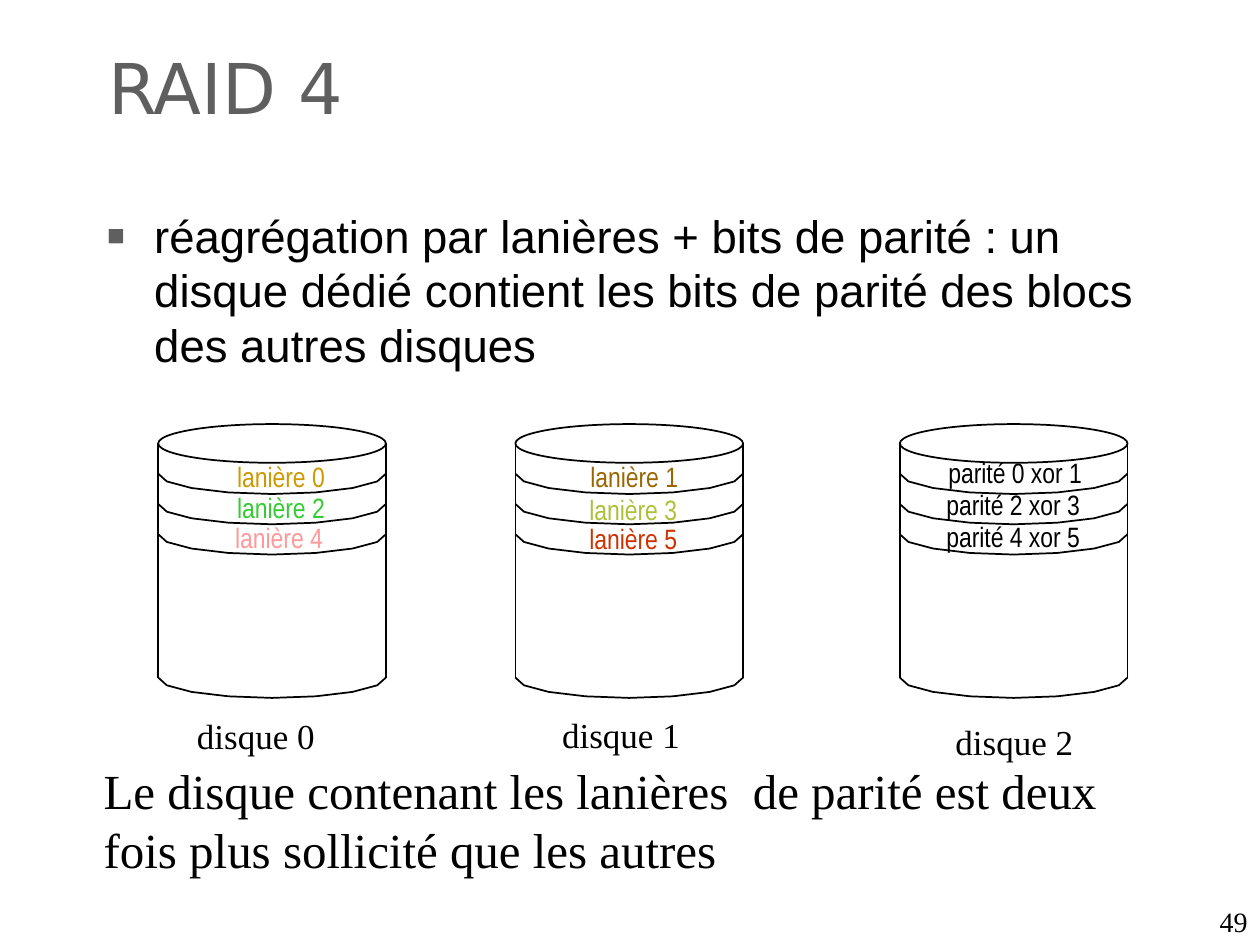
import math
from lxml import etree
from pptx import Presentation
from pptx import util as u
from pptx.dml.color import RGBColor
from pptx.enum import shapes, text
from pptx.oxml.ns import qn

BLACK, GREY = "000000", "5F5F5F"
SERIF, SANS, NARROW, HEADING = "Times New Roman", "Arial", "Arial Narrow", "DejaVu Sans"

# Disk geometry in cm
DISK_W, LID_H, LID_TOP = 4.59, 0.78, 8.55
RIM_Y, BASE_Y, ARC_DEPTH = LID_TOP + LID_H / 2, 13.66, 0.41
STRIPE_Y, STRIPE_STEP = 9.55, 0.61


def rgb(value):
    return RGBColor.from_string(value)


def write(frame, content, font=SERIF, size=16, color=BLACK,
          align=text.PP_ALIGN.LEFT, before=0):
    paragraph = frame.paragraphs[0]
    paragraph.alignment = align
    paragraph.space_before = u.Pt(before)
    run = paragraph.add_run()
    run.text = content
    run.font.name, run.font.size = font, u.Pt(size)
    run.font.color.rgb = rgb(color)
    return paragraph


class Sheet:
    def __init__(self, slide, line_color=BLACK, line_width=1):
        self.items = slide.shapes
        self.line_color, self.line_width = line_color, u.Pt(line_width)

    def outline(self, item):
        item.line.color.rgb = rgb(self.line_color)
        item.line.width = self.line_width

    def label(self, content, left, top, width, height, wrap=True,
              anchor=text.MSO_ANCHOR.TOP, **style):
        box = self.items.add_textbox(u.Cm(left), u.Cm(top), u.Cm(width), u.Cm(height))
        frame = box.text_frame
        frame.word_wrap, frame.vertical_anchor = wrap, anchor
        return write(frame, content, **style)

    def bullet(self, paragraph, indent, mark="■", color=GREY, percent=65):
        props = paragraph._p.get_or_add_pPr()
        props.set("marL", str(u.Cm(indent)))
        props.set("indent", str(-u.Cm(indent)))
        tint = etree.SubElement(props, qn("a:buClr"))
        etree.SubElement(tint, qn("a:srgbClr"), val=color)
        etree.SubElement(props, qn("a:buSzPct"), val=str(percent * 1000))
        etree.SubElement(props, qn("a:buFont"), typeface=SANS)
        etree.SubElement(props, qn("a:buChar"), char=mark)

    def ellipse(self, left, top, width, height):
        lid = self.items.add_shape(shapes.MSO_SHAPE.OVAL, u.Cm(left), u.Cm(top),
                                   u.Cm(width), u.Cm(height))
        lid.shadow.inherit = False
        lid.fill.background()
        self.outline(lid)

    def side(self, x, top, bottom):
        edge = self.items.add_connector(shapes.MSO_CONNECTOR.STRAIGHT, u.Cm(x),
                                        u.Cm(bottom), u.Cm(x), u.Cm(top))
        self.outline(edge)
        etree.SubElement(edge._element.spPr, qn("a:effectLst"))

    def arc(self, left, top, width, depth, steps=8):
        """Lower half of an ellipse, drawn from left to right."""
        angles = [math.pi * i / steps for i in range(steps + 1)]
        points = [(u.Cm(left + width * (1 - math.cos(a)) / 2),
                   u.Cm(top + depth * math.sin(a))) for a in angles]
        builder = self.items.build_freeform(*points[0])
        builder.add_line_segments(points[1:], close=False)
        curve = builder.convert_to_shape()
        curve.shadow.inherit = False
        curve.fill.background()
        self.outline(curve)

    def disk(self, left):
        self.ellipse(left, LID_TOP, DISK_W, LID_H)
        self.arc(left, BASE_Y, DISK_W, ARC_DEPTH)
        for x in (left, left + DISK_W):
            self.side(x, RIM_Y, BASE_Y)
        for i in reversed(range(3)):
            self.arc(left, STRIPE_Y + i * STRIPE_STEP, DISK_W, ARC_DEPTH)


# Name, disk left, caption position, stripes (text, left, top, colour)
DISKS = [
    ("disque 0", 3.19, (2.8, 14.27), [("lanière 0", 3.94, 9.22, "CC9900"),
                                      ("lanière 2", 3.94, 9.85, "33CC33"),
                                      ("lanière 4", 3.9, 10.45, "FF9999")]),
    ("disque 1", 10.39, (10.16, 14.25), [("lanière 1", 11.06, 9.22, "996600"),
                                         ("lanière 3", 11.04, 9.88, "AFBF39"),
                                         ("lanière 5", 11.04, 10.48, "CC3300")]),
    ("disque 2", 18.14, (18.09, 14.4), [("parité 0 xor 1", 18.74, 9.15, BLACK),
                                        ("parité 2 xor 3", 18.7, 9.79, BLACK),
                                        ("parité 4 xor 5", 18.7, 10.44, BLACK)]),
]


def main():
    deck = Presentation()
    deck.slide_width, deck.slide_height = u.Cm(25.4), u.Cm(19.05)
    sheet = Sheet(deck.slides.add_slide(deck.slide_layouts[6]))
    center = text.PP_ALIGN.CENTER

    # Title and definition
    sheet.label("RAID 4", 1.93, 0.77, 8.18, 2.18, font=HEADING, size=40, color=GREY)
    definition = sheet.label(
        "réagrégation par lanières + bits de parité : un disque dédié contient "
        "les bits de parité des blocs des autres disques",
        1.91, 4.06, 21.59, 4.34, font=SANS, size=26, before=6.5)
    sheet.bullet(definition, 0.95)

    # Disks with their stripes and captions
    for name, left, caption, stripes in DISKS:
        sheet.disk(left)
        for stripe, x, y, color in stripes:
            sheet.label(stripe, x, y, 3.45, 0.76, wrap=False, font=NARROW,
                        anchor=text.MSO_ANCHOR.MIDDLE, color=color, align=center)
        sheet.label(name, *caption, 4.72, 1.12, size=20, align=center, before=12.5)

    # Conclusion and page number
    sheet.label("Le disque contenant les lanières  de parité est deux fois plus "
                "sollicité que les autres", 1.84, 15.21, 21.59, 4.34, size=28)
    sheet.label("49", 19.48, 18.12, 5.92, 0.91, anchor=text.MSO_ANCHOR.BOTTOM,
                align=text.PP_ALIGN.RIGHT)

    deck.save("out.pptx")


if __name__ == "__main__":
    main()
